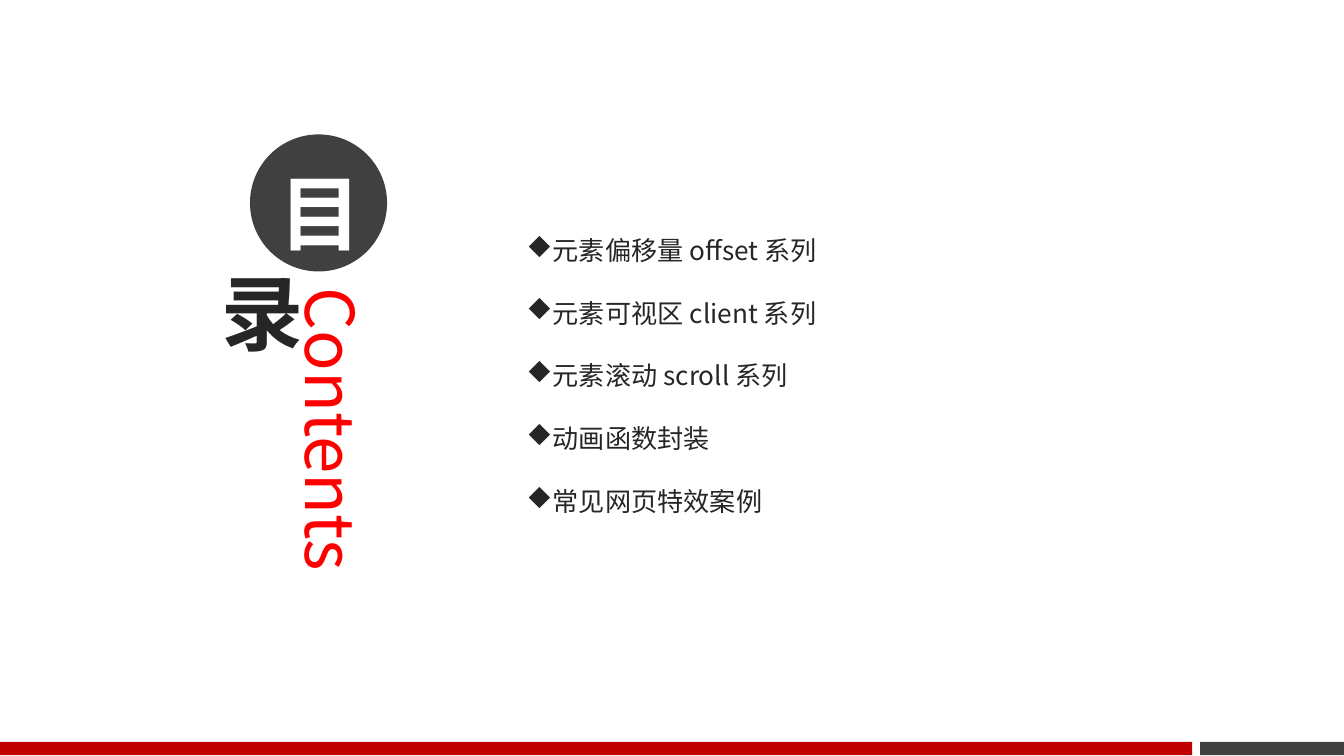
from lxml import etree
from pptx import Presentation
from pptx.dml.color import RGBColor
from pptx.enum.shapes import MSO_SHAPE
from pptx.enum.text import MSO_ANCHOR, PP_ALIGN
from pptx.oxml.ns import qn
from pptx.util import Inches, Pt

RECT, OVAL = MSO_SHAPE.RECTANGLE, MSO_SHAPE.OVAL
TOP, MIDDLE = MSO_ANCHOR.TOP, MSO_ANCHOR.MIDDLE
LEFT, CENTER = PP_ALIGN.LEFT, PP_ALIGN.CENTER

FONT = "Noto Sans CJK SC"
HEX = {"gray": "404040", "ink": "262626", "deep": "C00000",
       "red": "FF0000", "white": "FFFFFF"}
TOPICS = ["元素偏移量 offset 系列", "元素可视区 client 系列",
          "元素滚动 scroll 系列", "动画函数封装", "常见网页特效案例"]
BARS = [((8.93, 5.52, 1.07, 0.1), "gray"), ((0, 5.52, 8.87, 0.1), "deep")]
DISCS = [("目", (1.86, 1, 1.02, 1.02), "gray", "white", 0.15, Pt(70)),
         ("录", (1.46, 1.92, 0.8, 0.8), None, "ink", 0.04, None)]
SIDE = ("Contents", (2.14, 2.1, 0.7, 2.89))
LIST = (3.82, 1.46, 4.72, 2.39)
HANG = Inches(0.19)
MARK = ("Wingdings", "u")


def rgb(name):
    return RGBColor.from_string(HEX[name])


def place(box):
    return [Inches(v) for v in box]


def draw(kind, box, fill):
    shape = slide.shapes.add_shape(kind, *place(box))
    shape.shadow.inherit = False
    shape.line.fill.background()
    if fill:
        shape.fill.solid()
        shape.fill.fore_color.rgb = rgb(fill)
    else:
        shape.fill.background()
    return shape


def frame(shape, low=0.04, side=0.07, top=0.04, anchor=TOP):
    body = shape.text_frame
    form = {"word_wrap": True, "vertical_anchor": anchor,
            "margin_left": Inches(side), "margin_right": Inches(side),
            "margin_top": Inches(top), "margin_bottom": Inches(low)}
    for key, val in form.items():
        setattr(body, key, val)
    return body


def write(para, text, size, color, bold=False, align=LEFT, space=None):
    para.alignment = align
    para.line_spacing = space
    run = para.add_run()
    run.text = text
    for key, val in {"name": FONT, "size": Pt(size), "bold": bold}.items():
        setattr(run.font, key, val)
    run.font.color.rgb = rgb(color)
    face = etree.SubElement(run.font._element, qn("a:ea"))
    face.set("typeface", FONT)


def bullet(para):
    face, sign = MARK
    props = para._p.get_or_add_pPr()
    props.set("marL", str(HANG))
    props.set("indent", str(-HANG))
    tint = etree.SubElement(props, qn("a:buClr"))
    etree.SubElement(tint, qn("a:srgbClr")).set("val", HEX["ink"])
    font = etree.SubElement(props, qn("a:buFont"))
    font.set("typeface", face)
    font.set("charset", "2")
    etree.SubElement(props, qn("a:buChar")).set("char", sign)


deck = Presentation()
deck.slide_width = Inches(10)
deck.slide_height = deck.slide_width * 9 // 16
slide = deck.slides.add_slide(deck.slide_layouts[6])

for box, fill in BARS:
    draw(RECT, box, fill)

word, box = SIDE
body = frame(slide.shapes.add_textbox(*place(box)))
body._txBody.bodyPr.set("vert", "eaVert")
write(body.paragraphs[0], word, 36, "red")

for sign, box, fill, color, low, space in DISCS:
    body = frame(draw(OVAL, box, fill), low, anchor=MIDDLE)
    write(body.paragraphs[0], sign, 44, color, True, CENTER, space)

body = frame(slide.shapes.add_textbox(*place(LIST)), 0.05, 0.1, 0.05)
for i, topic in enumerate(TOPICS):
    para = body.add_paragraph() if i else body.paragraphs[0]
    write(para, topic, 14, "ink", space=2.0)
    bullet(para)

deck.save("out.pptx")
